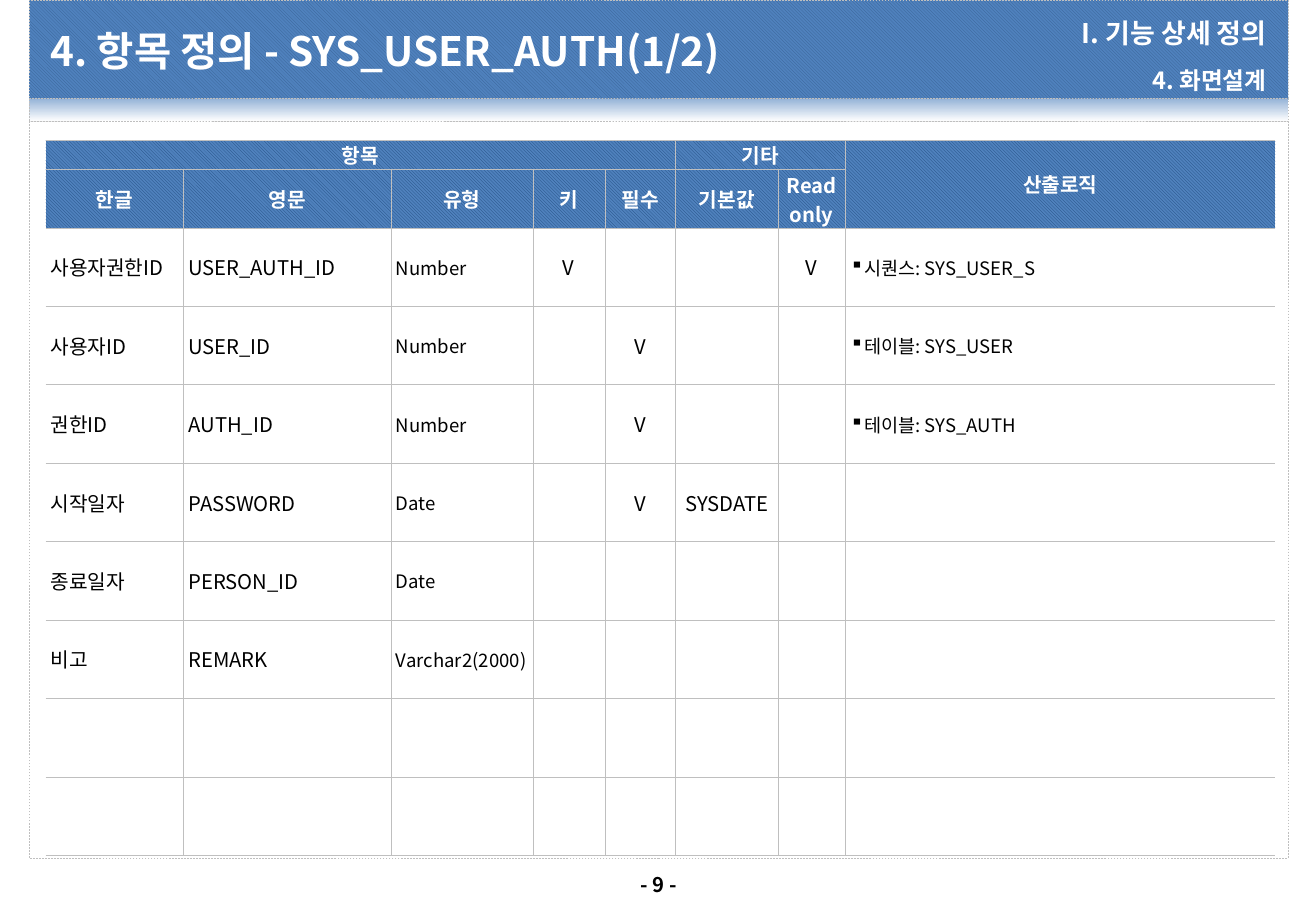
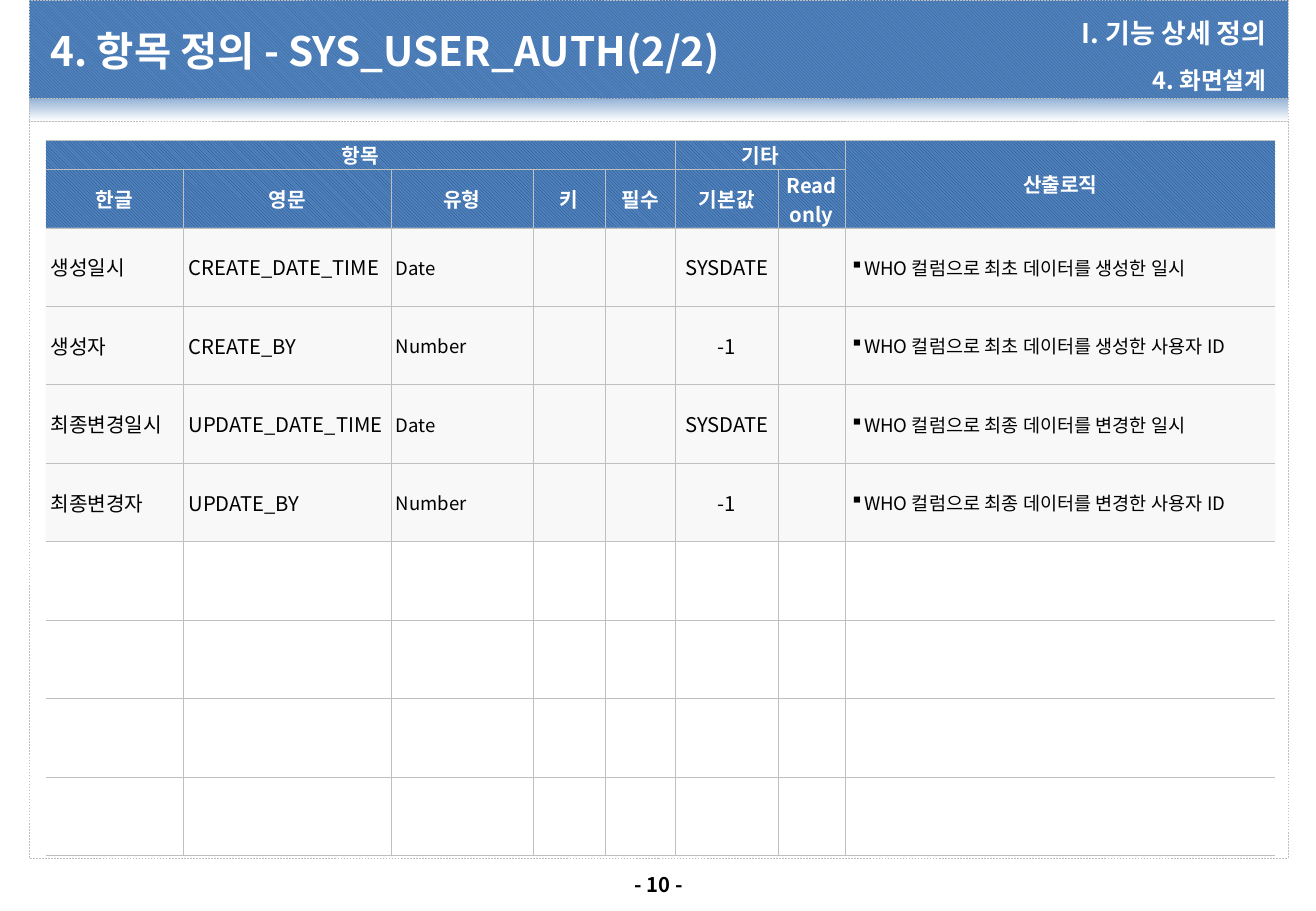
from pptx import Presentation
from pptx.dml.color import RGBColor
from pptx.enum.dml import MSO_LINE, MSO_PATTERN
from pptx.enum.shapes import MSO_SHAPE
from pptx.enum.text import MSO_ANCHOR, MSO_AUTO_SIZE, PP_ALIGN
from pptx.oxml import parse_xml
from pptx.oxml.ns import nsdecls, qn
from pptx.util import Pt

PX = 9525
FONT = "Noto Sans CJK KR"
LEFT, CENTER, RIGHT = PP_ALIGN.LEFT, PP_ALIGN.CENTER, PP_ALIGN.RIGHT
MIDDLE = MSO_ANCHOR.MIDDLE
DIAGONAL = MSO_PATTERN.LIGHT_DOWNWARD_DIAGONAL
COLORS = {
    "white": "FFFFFF", "black": "000000", "rule": "BFBFBF", "blue": "4F81BD",
    "band_hatch": "376092", "head_hatch": "1F497D", "fade": "95B3D7", "shade": "F2F2F2",
}

SLIDE_SIZE = (1040, 720)
FADE_BOX = (23, 78, 995, 18)
BODY_BOX = (23, 96, 995, 582)
HEADER_BOX = (23, 0, 995, 78)
PAGE_NUMBER_BOX = (488, 685, 65, 29)
INSET = 4

# placeholder index: box, font size, alignment, paragraph spacing
PLACEHOLDERS = {
    0: ((36, 8, 642, 63), 24, LEFT, {}),
    1: ((679, 8, 326, 36), 16, RIGHT, {"space_before": Pt(0)}),
    3: ((679, 45, 326, 26), 14, RIGHT,
        {"line_spacing": 1.5, "space_before": Pt(3), "space_after": Pt(3)}),
}
CHAPTER, SECTION = "I. 기능 상세 정의", "4. 화면설계"

TABLE_LEFT, TABLE_TOP = 36, 111
HEAD_HEIGHTS, ROW_HEIGHT, BODY_ROWS = [23, 46], 62, 8
# heading, width, font size, alignment
COLUMNS = [
    ("한글", 109, 12, LEFT), ("영문", 164, 12, LEFT), ("유형", 112, 11, LEFT),
    ("키", 57, 12, CENTER), ("필수", 56, 12, CENTER), ("기본값", 81, 12, CENTER),
    ("Read only", 53, 12, CENTER), ("", 340, 11, LEFT),
]
# text, first cell, last cell
HEAD_GROUPS = [
    ("항목", (0, 0), (0, 4)), ("기타", (0, 5), (0, 6)), ("산출로직", (0, 7), (1, 7)),
]
PAGES = [
    {"number": 9, "title": "4. 항목 정의 - SYS_USER_AUTH(1/2)", "shaded": False, "rows": [
        ("사용자권한ID", "USER_AUTH_ID", "Number", "V", "", "", "V", "시퀀스: SYS_USER_S"),
        ("사용자ID", "USER_ID", "Number", "", "V", "", "", "테이블: SYS_USER"),
        ("권한ID", "AUTH_ID", "Number", "", "V", "", "", "테이블: SYS_AUTH"),
        ("시작일자", "PASSWORD", "Date", "", "V", "SYSDATE", "", ""),
        ("종료일자", "PERSON_ID", "Date", "", "", "", "", ""),
        ("비고", "REMARK", "Varchar2(2000)", "", "", "", "", ""),
    ]},
    {"number": 10, "title": "4. 항목 정의 - SYS_USER_AUTH(2/2)", "shaded": True, "rows": [
        ("생성일시", "CREATE_DATE_TIME", "Date", "", "", "SYSDATE", "",
         "WHO 컬럼으로 최초 데이터를 생성한 일시"),
        ("생성자", "CREATE_BY", "Number", "", "", "-1", "",
         "WHO 컬럼으로 최초 데이터를 생성한 사용자 ID"),
        ("최종변경일시", "UPDATE_DATE_TIME", "Date", "", "", "SYSDATE", "",
         "WHO 컬럼으로 최종 데이터를 변경한 일시"),
        ("최종변경자", "UPDATE_BY", "Number", "", "", "-1", "",
         "WHO 컬럼으로 최종 데이터를 변경한 사용자 ID"),
    ]},
]


def rgb(name):
    return RGBColor.from_string(COLORS[name])


def scaled(box):
    return [length * PX for length in box]


def set_all(target, values):
    for name, value in values.items():
        setattr(target, name, value)


def fill_solid(fill, color):
    fill.solid()
    fill.fore_color.rgb = rgb(color)


def fill_hatch(fill, color):
    fill.patterned()
    fill.pattern = DIAGONAL
    fill.fore_color.rgb = rgb(color)
    fill.back_color.rgb = rgb("blue")


def fill_fade(fill, color):
    fill.gradient()
    fill.gradient_angle = 270
    for stop, position, name in zip(fill.gradient_stops, (0, 1), (color, "white")):
        stop.position = position
        stop.color.rgb = rgb(name)


def write(frame, text, size, align, color, bold, spacing=None):
    para = frame.paragraphs[0]
    set_all(para, {"alignment": align, **(spacing or {})})
    span = para.add_run()
    span.text = text
    set_all(span.font, {"name": FONT, "size": Pt(size), "bold": bold})
    span.font.color.rgb = rgb(color)


def move_bands_to_layout(slide, layout):
    """Draw the shared bands with the slide's shape tools and hand them to the layout."""
    tree = layout.placeholders[0].element.getparent()
    bands = [
        (FADE_BOX, fill_fade, "fade", 0),
        (BODY_BOX, fill_solid, "white", 0),
        (HEADER_BOX, fill_hatch, "band_hatch", 180),
    ]
    for order, (box, paint, color, rotation) in enumerate(bands):
        band = slide.shapes.add_shape(MSO_SHAPE.RECTANGLE, *scaled(box))
        band.shadow.inherit = False
        band.rotation = rotation
        paint(band.fill, color)
        band.line.color.rgb = rgb("rule")
        set_all(band.line, {"width": Pt(0.25), "dash_style": MSO_LINE.DASH})
        band.element.nvSpPr.cNvPr.set("id", str(101 + order))
        tree.insert(2 + order, band.element)


def fill_placeholders(slide, title):
    texts = {0: title, 1: CHAPTER, 3: SECTION}
    for holder in slide.placeholders:
        index = holder.placeholder_format.idx
        box, size, align, spacing = PLACEHOLDERS[index]
        set_all(holder, dict(zip(("left", "top", "width", "height"), scaled(box))))
        frame = holder.text_frame
        set_all(frame, {"word_wrap": True, "auto_size": MSO_AUTO_SIZE.NONE,
                        "vertical_anchor": MIDDLE})
        for side in ("left", "top", "right", "bottom"):
            setattr(frame, f"margin_{side}", INSET * PX)
        write(frame, texts[index], size, align, "white", True, spacing)


def add_page_number(slide, number):
    box = slide.shapes.add_textbox(*scaled(PAGE_NUMBER_BOX))
    box.text_frame.word_wrap = False
    write(box.text_frame, f"- {number} -", 12, CENTER, "black", True)


def border(side, visible):
    paint = f'<a:solidFill><a:srgbClr val="{COLORS["rule"]}"/></a:solidFill>'
    return parse_xml(f'<a:{side} {nsdecls("a")} w="3175">'
                     f'{paint if visible else "<a:noFill/>"}</a:{side}>')


def finish_cells(frame):
    """Add the borders, half-clear shading and bullets that need XML."""
    last = len(COLUMNS) - 1
    for row_index, row in enumerate(frame.element.iter(qn("a:tr"))):
        for column, cell in enumerate(row.iter(qn("a:tc"))):
            properties = cell.get_or_add_tcPr()
            color = properties.find(f'{qn("a:solidFill")}/{qn("a:srgbClr")}')
            if color is not None and color.get("val") == COLORS["shade"]:
                color.append(parse_xml(f'<a:alpha {nsdecls("a")} val="50000"/>'))
            hidden = {0: "lnL", last: "lnR"}.get(column)
            for order, side in enumerate(("lnL", "lnR", "lnT", "lnB")):
                properties.insert(order, border(side, side != hidden))
            if column == last and row_index >= len(HEAD_HEIGHTS):
                for para in cell.iter(qn("a:p")):
                    bullet = para.get_or_add_pPr()
                    bullet.set("marL", str(10 * PX))
                    bullet.set("indent", str(-10 * PX))
                    bullet.append(parse_xml(f'<a:buChar {nsdecls("a")} char="▪"/>'))


def add_item_table(slide, rows, shaded):
    heights = HEAD_HEIGHTS + [ROW_HEIGHT] * BODY_ROWS
    widths = [column[1] for column in COLUMNS]
    box = (TABLE_LEFT, TABLE_TOP, sum(widths), sum(heights))
    frame = slide.shapes.add_table(len(heights), len(widths), *scaled(box))
    table = frame.table
    set_all(table, {"first_row": False, "horz_banding": False})
    for column, width in zip(table.columns, widths):
        column.width = width * PX
    for row, height in zip(table.rows, heights):
        row.height = height * PX

    first = len(HEAD_HEIGHTS)
    for row in range(len(heights)):
        for column in range(len(widths)):
            cell = table.cell(row, column)
            set_all(cell, {"vertical_anchor": MIDDLE, "margin_left": INSET * PX,
                           "margin_right": INSET * PX, "margin_top": 0, "margin_bottom": 0})
            if row < first:
                fill_hatch(cell.fill, "head_hatch")
            else:
                in_use = row - first < len(rows)
                fill_solid(cell.fill, "shade" if shaded and in_use else "white")

    for text, start, end in HEAD_GROUPS:
        table.cell(*start).merge(table.cell(*end))
        write(table.cell(*start).text_frame, text, 12, CENTER, "white", True)
    for column, (heading, _, size, align) in enumerate(COLUMNS):
        if heading:
            write(table.cell(1, column).text_frame, heading, 12, CENTER, "white", True)
        for row, values in enumerate(rows, first):
            if values[column]:
                write(table.cell(row, column).text_frame, values[column],
                      size, align, "black", False)
    finish_cells(frame)


def add_east_asian_font(slide):
    for latin in list(slide.element.iter(qn("a:latin"))):
        latin.addnext(parse_xml(f'<a:ea {nsdecls("a")} typeface="{FONT}"/>'))


def main():
    deck = Presentation()
    deck.slide_width, deck.slide_height = scaled(SLIDE_SIZE)
    layout = deck.slide_layouts.get_by_name("Comparison")
    for holder in list(layout.placeholders):
        if holder.placeholder_format.idx not in PLACEHOLDERS:
            holder.element.getparent().remove(holder.element)

    slides = [deck.slides.add_slide(layout) for _ in PAGES]
    move_bands_to_layout(slides[0], layout)
    for slide, page in zip(slides, PAGES):
        fill_placeholders(slide, page["title"])
        add_page_number(slide, page["number"])
        add_item_table(slide, page["rows"], page["shaded"])
        add_east_asian_font(slide)
    deck.save("out.pptx")


if __name__ == "__main__":
    main()
